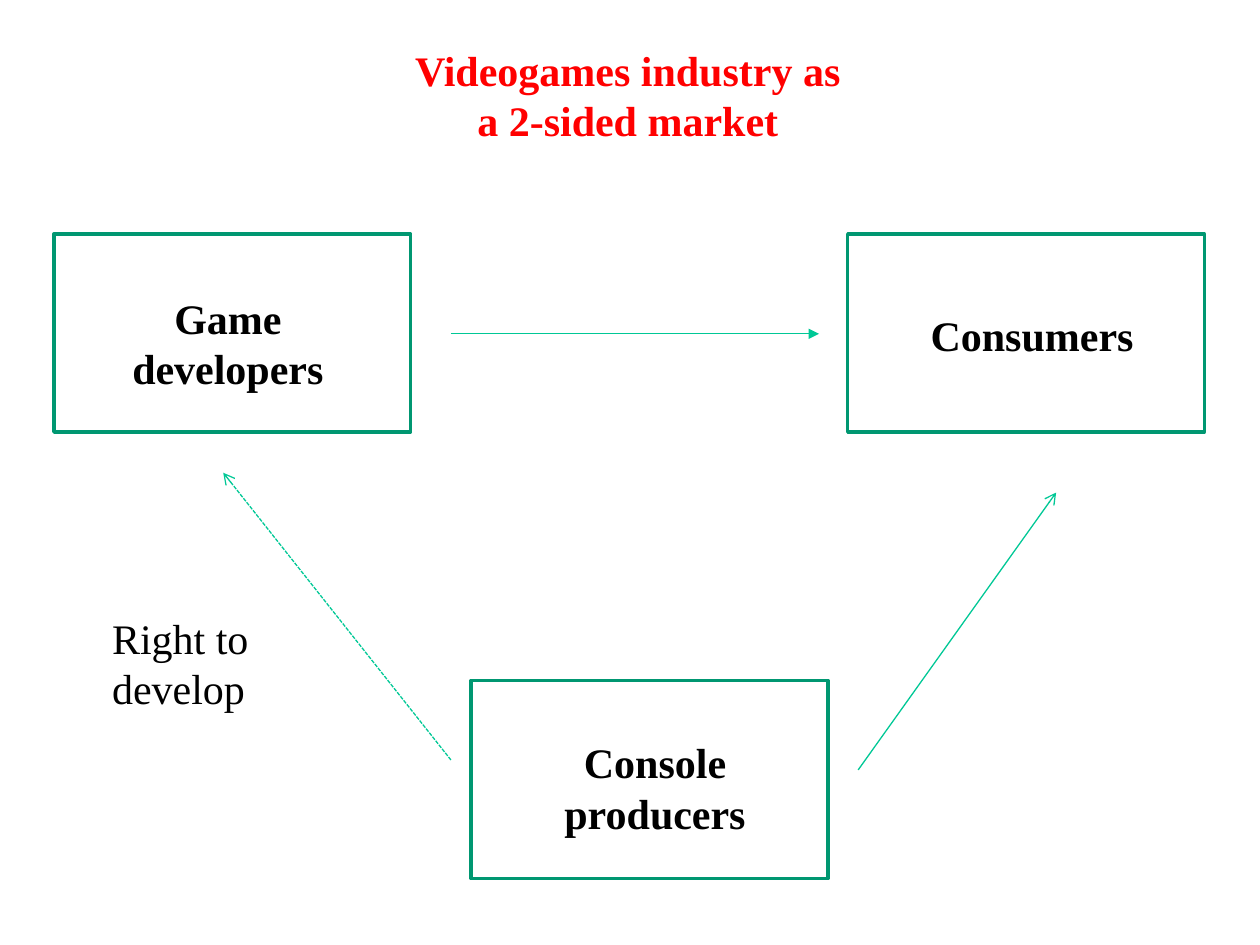
"""Build a slide showing the videogames industry as a two-sided market."""
import pptx
import pptx.dml.color
import pptx.enum.dml
import pptx.enum.shapes
import pptx.enum.text
import pptx.oxml.ns
import pptx.util
from lxml import etree

Cm = pptx.util.Cm
RGBColor = pptx.dml.color.RGBColor
RED = RGBColor(0xFF, 0x00, 0x00)
BLACK = RGBColor(0x00, 0x00, 0x00)
BORDER_GREEN = RGBColor(0x00, 0x97, 0x71)
ARROW_GREEN = RGBColor(0x00, 0xC8, 0x96)
CENTER = pptx.enum.text.PP_ALIGN.CENTER
LEFT = pptx.enum.text.PP_ALIGN.LEFT


def write_text(shape, text, font="Times New Roman", size=24, color=BLACK,
               bold=True, alignment=CENTER):
    frame = shape.text_frame
    frame.word_wrap = True
    frame.auto_size = pptx.enum.text.MSO_AUTO_SIZE.NONE
    frame.vertical_anchor = pptx.enum.text.MSO_ANCHOR.TOP
    paragraph = frame.paragraphs[0]
    paragraph.alignment = alignment
    run = paragraph.add_run()
    run.text = text
    run.font.name = font
    run.font.size = pptx.util.Pt(size)
    run.font.bold = bold
    run.font.color.rgb = color


class MarketSlide:
    box_width, box_height = 7.19, 3.99
    label_width = 5.79

    def __init__(self, presentation):
        self.slide = presentation.slides.add_slide(presentation.slide_layouts[5])

    def title(self, text, left, top, width, height):
        shape = self.slide.shapes.title
        shape.left, shape.top = Cm(left), Cm(top)
        shape.width, shape.height = Cm(width), Cm(height)
        write_text(shape, text, color=RED)

    def box(self, left, top):
        shape = self.slide.shapes.add_shape(
            pptx.enum.shapes.MSO_SHAPE.RECTANGLE, Cm(left), Cm(top),
            Cm(self.box_width), Cm(self.box_height))
        shape.shadow.inherit = False
        shape.fill.background()
        shape.line.color.rgb = BORDER_GREEN
        shape.line.width = pptx.util.Pt(2)

    def label(self, text, left, top, width=label_width, height=2.31, **text_format):
        shape = self.slide.shapes.add_textbox(
            Cm(left), Cm(top), Cm(width), Cm(height))
        write_text(shape, text, **text_format)

    def arrow(self, start, end, head="arrow", dash=None):
        connector = self.slide.shapes.add_connector(
            pptx.enum.shapes.MSO_CONNECTOR.STRAIGHT,
            *(Cm(length) for length in start + end))
        connector.line.color.rgb = ARROW_GREEN
        connector.line.width = pptx.util.Pt(0.75)
        if dash:
            connector.line.dash_style = dash
        properties = connector.element.spPr
        qn = pptx.oxml.ns.qn
        etree.SubElement(properties.find(qn("a:ln")), qn("a:tailEnd"), type=head)
        etree.SubElement(properties, qn("a:effectLst"))


def main():
    presentation = pptx.Presentation()
    presentation.slide_width, presentation.slide_height = Cm(25.4), Cm(19.05)
    market = MarketSlide(presentation)
    market.title("Videogames industry as a 2-sided market", 7.92, 0.76, 9.47, 2.31)

    for left, top in ((9.5, 13.72), (1.09, 4.72), (17.09, 4.72)):
        market.box(left, top)
    market.label("Console producers", 10.31, 14.73)
    market.label("Game developers", 1.7, 5.77)
    market.label("Consumers", 17.91, 6.12, height=1.27)
    market.label("Right to develop", 2.01, 12.22, width=5.2,
                 bold=False, alignment=LEFT)

    market.arrow((9.09, 15.32), (4.5, 9.53),
                 dash=pptx.enum.dml.MSO_LINE.SQUARE_DOT)
    market.arrow((17.3, 15.52), (21.29, 9.93))
    market.arrow((9.09, 6.73), (16.51, 6.73), head="triangle")
    presentation.save("out.pptx")


if __name__ == "__main__":
    main()
